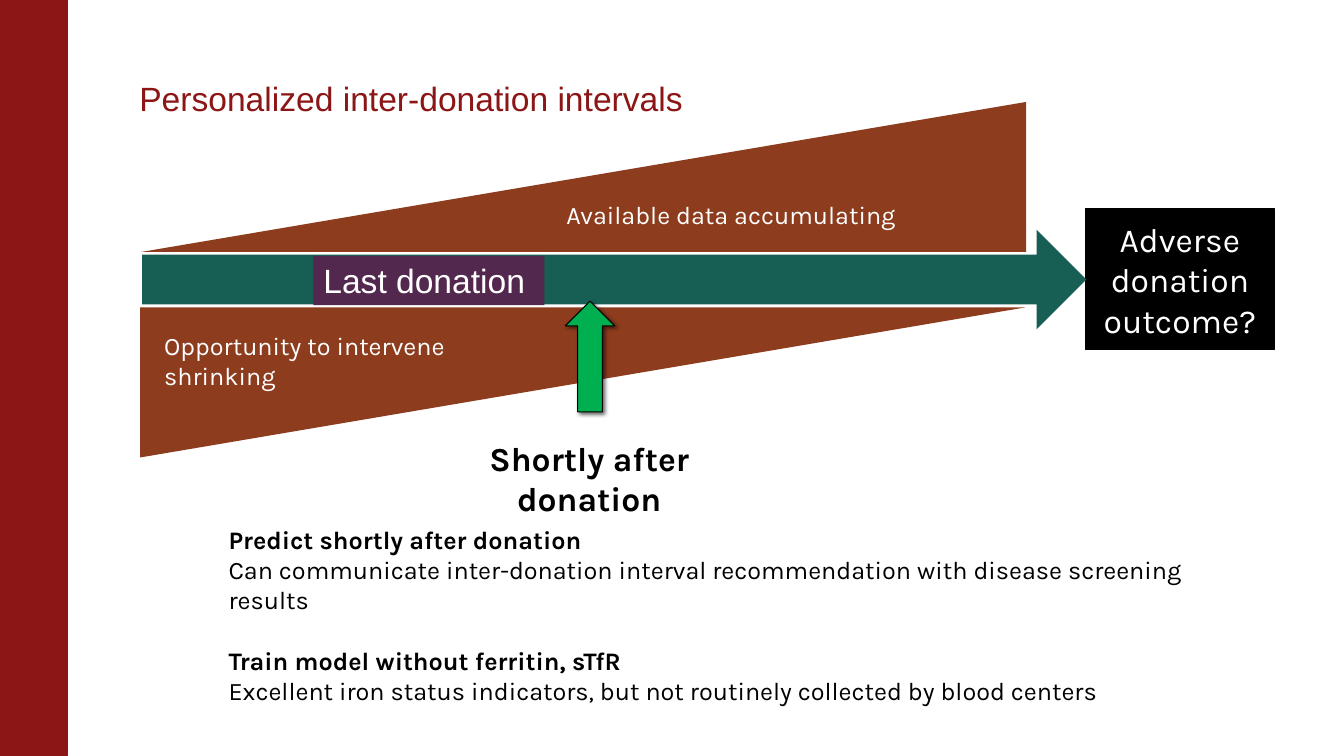
"""Build the slide on personalized inter-donation intervals."""
from dataclasses import dataclass
from typing import Any, Optional

import lxml.etree
import pptx
import pptx.dml.color
import pptx.enum.shapes
import pptx.enum.text
import pptx.oxml.ns
import pptx.util

COLORS = {
    "cardinal": "8C1515",
    "black": "000000",
    "white": "FFFFFF",
    "teal": "175E54",
    "rust": "8D3C1E",
    "plum": "53284F",
    "green": "00B050",
}
KINDS = pptx.enum.shapes.MSO_SHAPE
ALIGN = pptx.enum.text.PP_ALIGN
ANCHOR = pptx.enum.text.MSO_ANCHOR
FIT = pptx.enum.text.MSO_AUTO_SIZE


@dataclass(frozen=True)
class Line:
    """One paragraph of text."""
    text: str
    bold: bool = False
    space_before: float = 0


@dataclass(frozen=True)
class Style:
    """The look shared by the paragraphs of one element."""
    size: int = 18
    color: str = "white"
    font: str = "Karla"
    align: Any = ALIGN.LEFT


@dataclass(frozen=True)
class Element:
    """A preset shape, or a text box when kind is None; lengths in cm."""
    left: float
    top: float
    width: float
    height: float
    kind: Any = None
    fill: str = "white"
    outline: Optional[str] = None
    flip: Optional[str] = None
    shadow: bool = False
    lines: tuple[Line, ...] = ()
    style: Style = Style()


CENTERED = Style(align=ALIGN.CENTER)
TITLE = Element(3.51, 1.32, 28.55, 1.8, lines=(Line("Personalized inter-donation intervals"),),
                style=Style(24, "cardinal", "Arial"))
ELEMENTS = (
    Element(0, 0, 1.7, 19.05, KINDS.RECTANGLE, "cardinal", "cardinal"),
    Element(27.36, 5.26, 4.75, 3.56, KINDS.RECTANGLE, "black", "black",
            lines=(Line("Adverse donation outcome?"),),
            style=Style(24, align=ALIGN.CENTER)),
    Element(3.58, 5.79, 23.8, 2.51, KINDS.RIGHT_ARROW, "teal"),
    Element(3.53, 7.75, 22.3, 3.78, KINDS.RIGHT_TRIANGLE, "rust", flip="flipV"),
    Element(3.56, 2.57, 22.3, 3.78, KINDS.RIGHT_TRIANGLE, "rust", flip="flipH",
            lines=(Line("Available data accumulating"),), style=CENTERED),
    Element(3.89, 8.2, 10.08, 1.02, lines=(Line("Opportunity to intervene shrinking"),)),
    Element(5.51, 13.08, 24.54, 4.11, style=Style(color="black"), lines=(
        Line("Predict shortly after donation", True),
        Line("Can communicate inter-donation interval recommendation "
             "with disease screening results"),
        Line("Train model without ferritin, sTfR", True, 21.5),
        Line("Excellent iron status indicators, but not routinely collected by blood centers"),
    )),
    Element(10.34, 10.9, 9.02, 1.27, lines=(Line("Shortly after donation", True),),
            style=Style(24, "black", align=ALIGN.CENTER)),
    Element(7.9, 6.45, 5.82, 1.24, KINDS.RECTANGLE, "plum",
            lines=(Line("Last donation"),), style=Style(24, font="Arial")),
    Element(14.25, 7.59, 1.24, 2.79, KINDS.UP_ARROW, "green", "black", shadow=True),
)


def rgb(name: str) -> pptx.dml.color.RGBColor:
    """Return the named colour."""
    return pptx.dml.color.RGBColor.from_string(COLORS[name])


def bounds(element: Element) -> tuple[pptx.util.Length, ...]:
    """Return left, top, width and height as lengths."""
    return tuple(pptx.util.Cm(value) for value in
                 (element.left, element.top, element.width, element.height))


def write_text(frame: Any, element: Element) -> None:
    """Fill a text frame and format its runs."""
    style = element.style
    frame.word_wrap = True
    frame.text = "\n".join(line.text for line in element.lines)
    for para, line in zip(frame.paragraphs, element.lines):
        para.alignment = style.align
        if line.space_before:
            para.space_before = pptx.util.Pt(line.space_before)
        for span in para.runs:
            span.font.name = style.font
            span.font.size = pptx.util.Pt(style.size)
            span.font.bold = line.bold
            span.font.color.rgb = rgb(style.color)


def add_shadow(box: Any) -> None:
    """Give a shape a soft shadow to the lower right."""
    qn = pptx.oxml.ns.qn
    effects = box.element.spPr.find(qn("a:effectLst"))
    shadow = lxml.etree.SubElement(effects, qn("a:outerShdw"), {
        "blurRad": str(pptx.util.Pt(3)), "dist": str(pptx.util.Pt(2)),
        "dir": str(45 * 60000), "algn": "tl", "rotWithShape": "0"})
    color = lxml.etree.SubElement(shadow, qn("a:srgbClr"), {"val": COLORS["black"]})
    lxml.etree.SubElement(color, qn("a:alpha"), {"val": "60000"})


def add_element(page: Any, element: Element) -> None:
    """Draw one shape or text box."""
    if element.kind is None:
        box = page.shapes.add_textbox(*bounds(element))
        write_text(box.text_frame, element)
        box.text_frame.auto_size = FIT.SHAPE_TO_FIT_TEXT
        return
    box = page.shapes.add_shape(element.kind, *bounds(element))
    box.shadow.inherit = False
    box.fill.solid()
    box.fill.fore_color.rgb = rgb(element.fill)
    if element.outline:
        box.line.color.rgb = rgb(element.outline)
        box.line.width = pptx.util.Pt(0.75)
    else:
        box.line.fill.background()
    if element.flip:
        box.element.spPr.xfrm.set(element.flip, "1")
    if element.shadow:
        add_shadow(box)
    if element.lines:
        write_text(box.text_frame, element)
        box.text_frame.vertical_anchor = ANCHOR.MIDDLE


def set_title(page: Any) -> None:
    """Place and format the title placeholder."""
    box = page.shapes.title
    box.left, box.top, box.width, box.height = bounds(TITLE)
    frame = box.text_frame
    write_text(frame, TITLE)
    frame.auto_size = FIT.NONE
    frame.vertical_anchor = ANCHOR.BOTTOM
    frame.margin_left = 0
    frame.paragraphs[0].line_spacing = 0.85


def main() -> None:
    """Create and save the deck."""
    deck = pptx.Presentation()
    deck.slide_width, deck.slide_height = pptx.util.Cm(33.87), pptx.util.Cm(19.05)
    page = deck.slides.add_slide(deck.slide_layouts[5])
    set_title(page)
    for element in ELEMENTS:
        add_element(page, element)
    deck.save("out.pptx")


if __name__ == "__main__":
    main()
